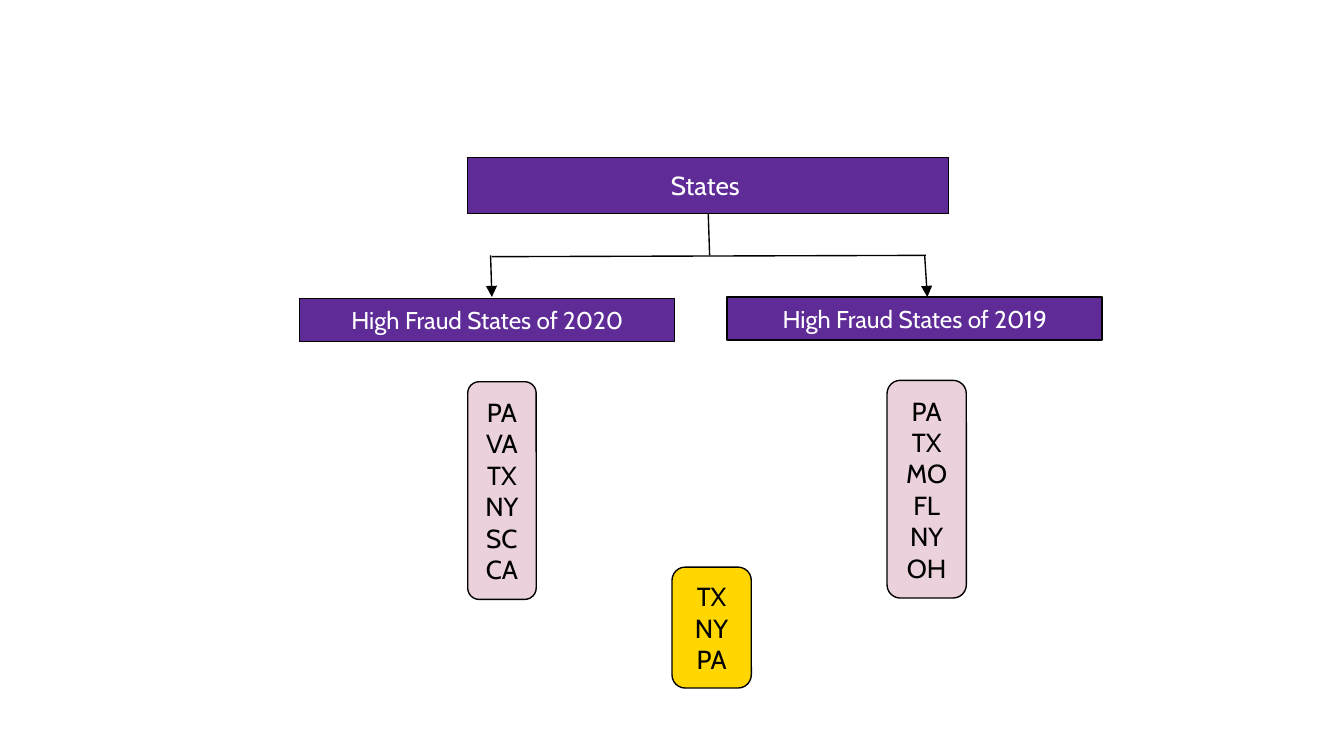
from lxml import etree
from pptx import Presentation
from pptx.dml.color import RGBColor
from pptx.enum.shapes import MSO_CONNECTOR, MSO_SHAPE
from pptx.enum.text import MSO_ANCHOR, PP_ALIGN
from pptx.oxml.ns import qn
from pptx.util import Inches, Pt

RECTANGLE = MSO_SHAPE.RECTANGLE
ROUNDED = MSO_SHAPE.ROUNDED_RECTANGLE
STRAIGHT = MSO_CONNECTOR.STRAIGHT
CENTER = PP_ALIGN.CENTER
MIDDLE = MSO_ANCHOR.MIDDLE

FONT = "Cabin"
COLORS = {
    "purple": "5E2B97",
    "pink": "EAD1DC",
    "yellow": "FFD600",
    "black": "000000",
    "white": "FFFFFF",
}
BOTTOM = 2


def color(name):
    return RGBColor.from_string(COLORS[name])


def style_line(line):
    line.color.rgb = color("black")
    line.width = Pt(0.75)


def add_box(page, kind, place, text, fill, text_color, size):
    """Add a filled, outlined shape with centred text."""
    box = page.shapes.add_shape(kind, *map(Inches, place))
    box.shadow.inherit = False
    box.fill.solid()
    box.fill.fore_color.rgb = color(fill)
    style_line(box.line)

    frame = box.text_frame
    frame.word_wrap = True
    frame.vertical_anchor = MIDDLE
    frame.margin_left = frame.margin_right = Inches(0.1)
    frame.margin_top = frame.margin_bottom = Inches(0.1)
    frame.text = text
    for paragraph in frame.paragraphs:
        paragraph.alignment = CENTER
        for span in paragraph.runs:
            span.font.name = FONT
            span.font.size = Pt(size)
            span.font.color.rgb = color(text_color)
    return box


def add_heading(page, place, text, size):
    return add_box(page, RECTANGLE, place, text, "purple", "white", size)


def add_state_list(page, place, states, fill):
    box = add_box(page, ROUNDED, place, states, fill, "black", 14)
    box.adjustments[0] = 0.167
    return box


def add_line(page, start, end, arrow=False):
    line = page.shapes.add_connector(STRAIGHT, *map(Inches, start + end))
    style_line(line.line)
    properties = line._element.spPr
    if arrow:
        outline = properties.find(qn("a:ln"))
        etree.SubElement(outline, qn("a:tailEnd"), type="triangle")
    etree.SubElement(properties, qn("a:effectLst"))
    return line


def main():
    deck = Presentation()
    deck.slide_width = Inches(10)
    deck.slide_height = deck.slide_width * 9 // 16
    page = deck.slides.add_slide(deck.slide_layouts[6])

    root = add_heading(page, (3.48, 1.17, 3.58, 0.42), "States ", 14)
    trunk = add_line(page, (5.27, 1.59), (5.28, 1.9))
    trunk.begin_connect(root, BOTTOM)
    add_line(page, (3.66, 1.91), (6.89, 1.9))
    add_line(page, (3.65, 1.9), (3.66, 2.21), arrow=True)
    add_line(page, (6.88, 1.9), (6.9, 2.21), arrow=True)

    add_state_list(page, (5, 4.22, 0.59, 0.9), "TX\nNY\nPA", "yellow")

    # \v is a line break inside a paragraph, \n starts a new paragraph.
    branches = [
        ("2020", 2.23, 2.22, 3.48, 0.51, "PA\vVA\vTX\vNY\vSC\vCA"),
        ("2019", 5.41, 2.21, 6.6, 0.59, "PA TX\nMO\vFL\nNY\nOH"),
    ]
    for year, left, top, list_left, list_width, states in branches:
        add_heading(page, (left, top, 2.79, 0.32), f"High Fraud States of {year}", 13)
        add_state_list(page, (list_left, top + 0.62, list_width, 1.62), states, "pink")

    deck.save("out.pptx")


if __name__ == "__main__":
    main()
